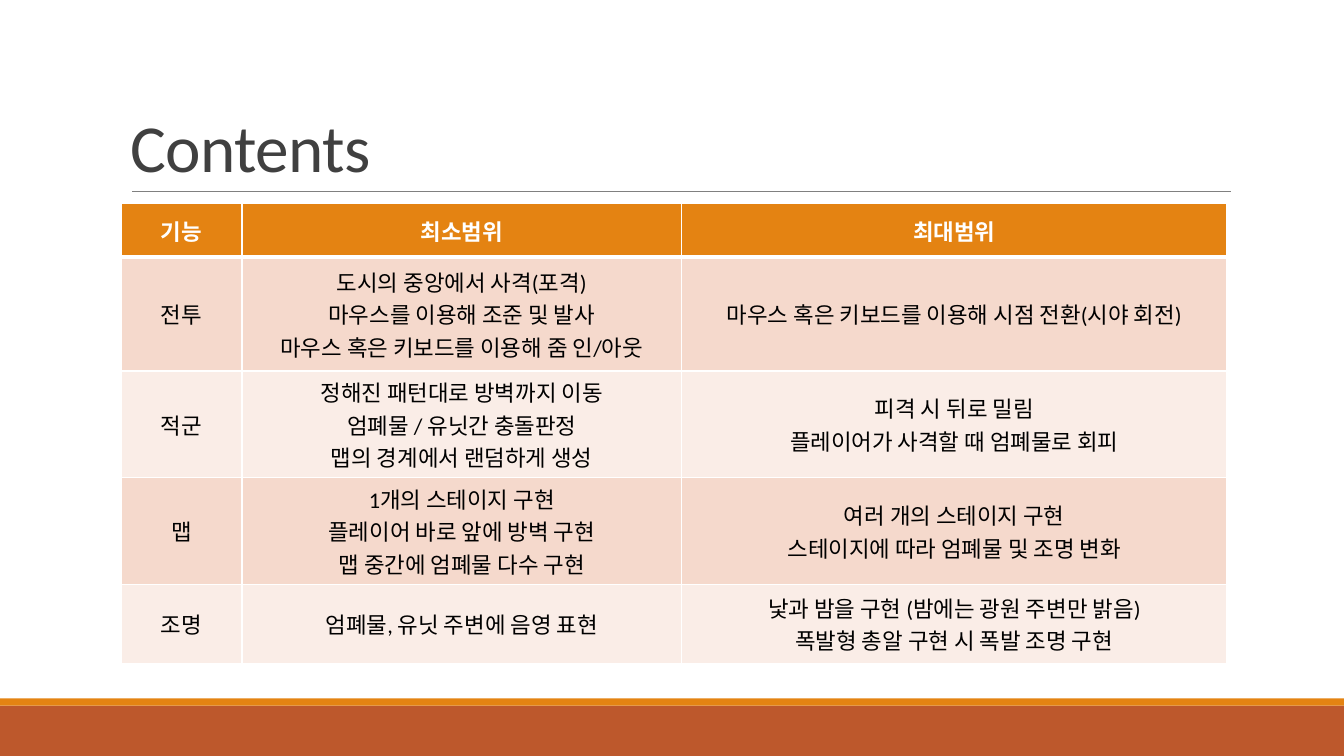
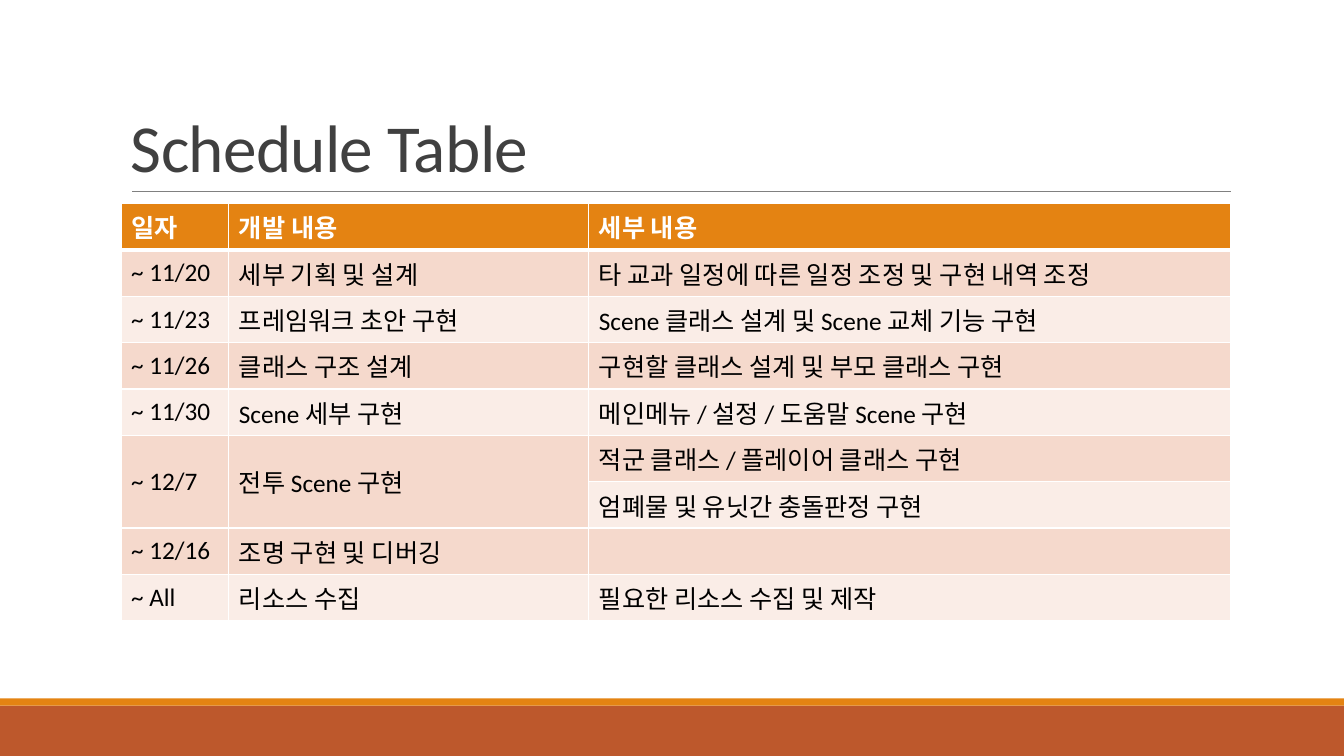
from dataclasses import dataclass

from lxml import etree
from pptx import Presentation
from pptx import util as u
from pptx.dml.color import RGBColor
from pptx.enum import shapes, text
from pptx.oxml import ns

Inches = u.Inches


@dataclass(frozen=True)
class Theme:
    font: str = "Calibri"
    paper: str = "FFFFFF"
    ink: str = "000000"
    title: str = "404040"
    rule: str = "808080"
    rust: str = "BD582C"
    amber: str = "E48312"
    bands: tuple = ("FAEDE7", "F5D9CC")
    head_pt: int = 48
    wide: float = 13.33
    high: float = 7.5
    left: float = 1.2
    top: float = 2.02


T = Theme()

SCOPE = [
    ["기능", "최소범위", "최대범위"],
    ["전투",
     "도시의 중앙에서 사격(포격)\n마우스를 이용해 조준 및 발사\n마우스 혹은 키보드를 이용해 줌 인/아웃",
     "마우스 혹은 키보드를 이용해 시점 전환(시야 회전)"],
    ["적군",
     "정해진 패턴대로 방벽까지 이동\n엄폐물 / 유닛간 충돌판정\n맵의 경계에서 랜덤하게 생성",
     "피격 시 뒤로 밀림\n플레이어가 사격할 때 엄폐물로 회피"],
    ["맵",
     "1개의 스테이지 구현\n플레이어 바로 앞에 방벽 구현\n맵 중간에 엄폐물 다수 구현",
     "여러 개의 스테이지 구현\n스테이지에 따라 엄폐물 및 조명 변화"],
    ["조명",
     "엄폐물, 유닛 주변에 음영 표현",
     "낯과 밤을 구현 (밤에는 광원 주변만 밝음)\n폭발형 총알 구현 시 폭발 조명 구현"],
]

PLAN = [
    ["일자", "개발 내용", "세부 내용"],
    ["~ 11/20", "세부 기획 및 설계", "타 교과 일정에 따른 일정 조정 및 구현 내역 조정"],
    ["~ 11/23", "프레임워크 초안 구현", "Scene 클래스 설계 및 Scene 교체 기능 구현"],
    ["~ 11/26", "클래스 구조 설계", "구현할 클래스 설계 및 부모 클래스 구현"],
    ["~ 11/30", "Scene 세부 구현", "메인메뉴 / 설정 / 도움말 Scene 구현"],
    ["~ 12/7", "전투 Scene 구현", "적군 클래스 / 플레이어 클래스 구현"],
    ["", "", "엄폐물 및 유닛간 충돌판정 구현"],
    ["~ 12/16", "조명 구현 및 디버깅", ""],
    ["~ All", "리소스 수집", "필요한 리소스 수집 및 제작"],
]


def paint(fill, color):
    fill.solid()
    fill.fore_color.rgb = RGBColor.from_string(color)


def write(para, words, size, color, bold=False):
    run = para.add_run()
    run.text = words
    font = run.font
    font.name, font.size, font.bold = T.font, u.Pt(size), bold
    font.color.rgb = RGBColor.from_string(color)
    return run


def add_band(slide, top, high, color):
    band = slide.shapes.add_shape(
        shapes.MSO_SHAPE.RECTANGLE, 0, Inches(top), Inches(T.wide), Inches(high))
    band.shadow.inherit = False
    paint(band.fill, color)
    band.line.fill.background()


def add_title(slide, words, left, top, wide, high):
    """Title standing on a thin rule at the foot of its box."""
    foot = Inches(top + high)
    rule = slide.shapes.add_connector(
        shapes.MSO_CONNECTOR.STRAIGHT,
        Inches(left + 0.11), foot, Inches(left + wide + 0.01), foot)
    rule.line.width = u.Pt(0.5)
    rule.line.color.rgb = RGBColor.from_string(T.rule)
    etree.SubElement(rule._element.spPr, ns.qn("a:effectLst"))

    box = slide.shapes.add_textbox(
        Inches(left), Inches(top), Inches(wide), Inches(high))
    frame = box.text_frame
    frame.word_wrap = True
    frame.vertical_anchor = text.MSO_ANCHOR.BOTTOM
    para = frame.paragraphs[0]
    para.line_spacing = 0.85
    run = write(para, words, T.head_pt, T.title)
    run.font._element.set("spc", "-50")


def add_edges(cell, row):
    """White cell borders, heavier between the header and the body."""
    props = cell._tc.get_or_add_tcPr()
    heavy = {0: "B", 1: "T"}.get(row)
    for side in "LRTB":
        width = u.Pt(3 if side == heavy else 1)
        edge = etree.SubElement(props, ns.qn(f"a:ln{side}"), w=str(int(width)))
        fill = etree.SubElement(edge, ns.qn("a:solidFill"))
        etree.SubElement(fill, ns.qn("a:srgbClr"), val=T.paper)


def fill_cell(cell, row, words, size, align):
    add_edges(cell, row)
    paint(cell.fill, T.bands[row % 2] if row else T.amber)
    cell.vertical_anchor = text.MSO_ANCHOR.MIDDLE
    frame = cell.text_frame
    for i, line in enumerate(words.split("\n")):
        para = frame.add_paragraph() if i else frame.paragraphs[0]
        para.alignment = align
        if line:
            write(para, line, size, T.ink if row else T.paper, not row)


def add_grid(slide, data, left, top, cols, rows, size, align, merges=()):
    grid = slide.shapes.add_table(
        len(rows), len(cols), Inches(left), Inches(top),
        Inches(sum(cols)), Inches(sum(rows))).table
    for col, wide in zip(grid.columns, cols):
        col.width = Inches(wide)
    for row, high in zip(grid.rows, rows):
        row.height = Inches(high)
    for r, line in enumerate(data):
        for c, words in enumerate(line):
            fill_cell(grid.cell(r, c), r, words, size, align)
    for first, last in merges:
        grid.cell(*first).merge(grid.cell(*last))


def add_page(deck, title):
    slide = deck.slides.add_slide(deck.slide_layouts[6])
    paint(slide.background.fill, T.paper)
    add_band(slide, 7, 0.5, T.rust)
    add_band(slide, 6.93, 0.07, T.amber)
    add_title(slide, title, T.left, 0.31, 11, 1.59)
    return slide


def main():
    deck = Presentation()
    deck.slide_width, deck.slide_height = Inches(T.wide), Inches(T.high)
    add_grid(add_page(deck, "Contents"), SCOPE, T.left, T.top,
             cols=(1.2, 4.36, 5.41), rows=(0.53, 1.13, 1.06, 1.06, 0.78),
             size=16, align=text.PP_ALIGN.CENTER)
    add_grid(add_page(deck, "Schedule Table"), PLAN, T.left, T.top,
             cols=(1.07, 3.57, 6.37), rows=[0.46] * len(PLAN),
             size=18, align=text.PP_ALIGN.LEFT,
             merges=[((5, c), (6, c)) for c in (0, 1)])
    deck.save("out.pptx")


if __name__ == "__main__":
    main()
